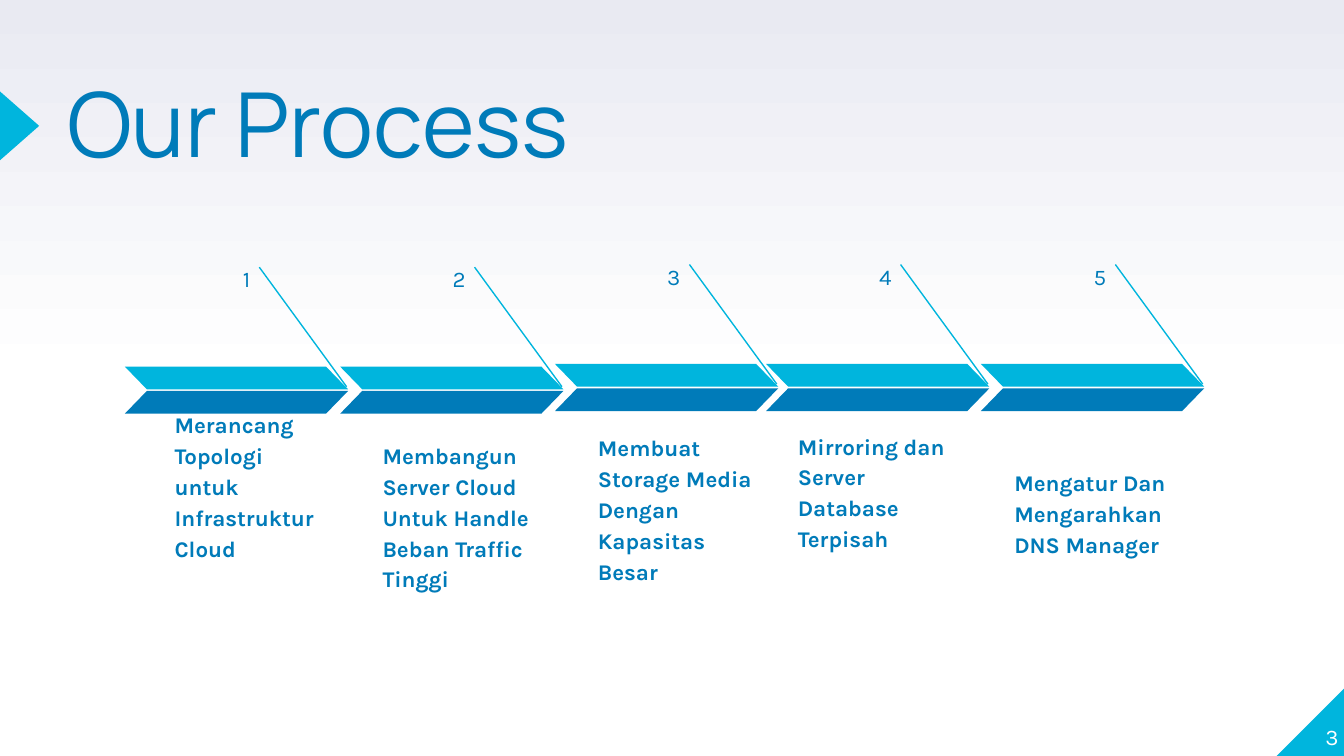
"""Build the five-step "Our Process" slide."""
from copy import deepcopy
from dataclasses import dataclass

from lxml.etree import SubElement
from pptx import Presentation
from pptx.dml.color import RGBColor
from pptx.enum.shapes import MSO_CONNECTOR as Line, MSO_SHAPE as Shape
from pptx.enum.text import MSO_ANCHOR as Anchor, MSO_AUTO_SIZE as AutoSize, PP_ALIGN as Align
from pptx.oxml.ns import qn
from pptx.util import Cm, Pt


@dataclass(frozen=True)
class Theme:
    cyan: RGBColor = RGBColor(0x00, 0xB5, 0xDD)
    blue: RGBColor = RGBColor(0x00, 0x7B, 0xB9)
    white: RGBColor = RGBColor(0xFF, 0xFF, 0xFF)
    mist: RGBColor = RGBColor(0xE9, 0xEA, 0xF2)
    title_font: str = "Manrope"
    body_font: str = "Karla"
    title_size: Pt = Pt(48)
    body_size: Pt = Pt(12)
    hairline: Pt = Pt(0.75)


@dataclass(frozen=True)
class Step:
    left: float
    top: float
    text: str
    text_left: float
    text_top: float
    text_height: float


STEPS = [
    Step(2.36, 6.93, "Merancang Topologi untuk Infrastruktur Cloud", 3.05, 9.5, 1.37),
    Step(6.43, 6.93, "Membangun Server Cloud Untuk Handle Beban Traffic Tinggi", 6.98, 9.42, 2.03),
    Step(10.49, 6.88, "Membuat Storage Media Dengan Kapasitas Besar", 11.05, 9.27, 2.03),
    Step(14.48, 6.88, "Mirroring dan Server Database Terpisah", 14.83, 8.15, 2.54),
    Step(18.54, 6.88, "Mengatur Dan Mengarahkan DNS Manager", 18.92, 8.26, 2.54),
]


class SlideBuilder:
    def __init__(self, page, theme):
        self.page = page
        self.theme = theme
        self.canvas = page.shapes

    def background(self):
        fill = self.page.background.fill
        fill.gradient()
        fill.gradient_angle = 90
        stop_list = self.page.element.xpath(".//a:gsLst")[0]
        stop_list.insert(0, deepcopy(stop_list[0]))
        colors = (self.theme.white, self.theme.white, self.theme.mist)
        for stop, position, color in zip(fill.gradient_stops, (0, 0.5, 1), colors):
            stop.position = position
            stop.color.rgb = color

    def fill_text(self, box, text, font, size, color, *, bold=False, align=Align.LEFT,
                  anchor=Anchor.TOP, inset=0.0, spacing=1.0, after=0):
        frame = box.text_frame
        frame.word_wrap = True
        frame.auto_size = AutoSize.NONE
        frame.vertical_anchor = anchor
        frame.margin_left = frame.margin_right = Cm(inset)
        frame.margin_top = frame.margin_bottom = Cm(inset)
        para = frame.paragraphs[0]
        para.alignment = align
        para.line_spacing = spacing
        para.space_before = Pt(0)
        para.space_after = Pt(after)
        span = para.add_run()
        span.text = text
        span.font.name = font
        span.font.size = size
        span.font.bold = bold
        span.font.color.rgb = color

    def title(self, text, left, top, width, height):
        box = self.page.shapes.title
        box.left, box.top, box.width, box.height = map(Cm, (left, top, width, height))
        self.fill_text(box, text, self.theme.title_font, self.theme.title_size,
                       self.theme.blue, spacing=0.8)

    def text(self, text, left, top, width, height, color, **style):
        box = self.canvas.add_textbox(*map(Cm, (left, top, width, height)))
        self.fill_text(box, text, self.theme.body_font, self.theme.body_size, color, **style)

    def shape(self, kind, left, top, width, height, color, flip=False, turn=0, slant=None):
        shape = self.canvas.add_shape(kind, *map(Cm, (left, top, width, height)))
        shape.shadow.inherit = False
        shape.fill.solid()
        shape.fill.fore_color.rgb = color
        shape.line.fill.background()
        shape.rotation = turn
        if flip:
            shape.element.spPr.get_or_add_xfrm().set("flipH", "1")
        if slant is not None:
            shape.adjustments[0] = slant

    def line(self, start_x, start_y, end_x, end_y):
        line = self.canvas.add_connector(
            Line.STRAIGHT, *map(Cm, (start_x, start_y, end_x, end_y)))
        line.line.color.rgb = self.theme.cyan
        line.line.width = self.theme.hairline
        SubElement(line.element.spPr, qn("a:effectLst"))

    def step(self, number, step):
        theme = self.theme
        left, top = step.left, step.top
        self.canvas = self.page.shapes.add_group_shape().shapes
        self.text(str(number), left + 1.2, top - 2.24, 1.42, 0.74, theme.blue,
                  align=Align.RIGHT, inset=0.25, spacing=1.15, after=16)
        self.text(step.text, step.text_left, step.text_top, 3.45, step.text_height,
                  theme.blue, bold=True, anchor=Anchor.BOTTOM, inset=0.25, spacing=1.15)
        self.line(left + 2.54, top - 1.88, left + 4.19, top + 0.38)
        for drop, color, flip in ((0, theme.cyan, True), (0.46, theme.blue, False)):
            self.shape(Shape.PARALLELOGRAM, left, top + drop, 4.22, 0.43, color,
                       flip=flip, slant=0.97)
        self.canvas = self.page.shapes


def main():
    deck = Presentation()
    deck.slide_width, deck.slide_height = Cm(25.4), Cm(14.29)
    theme = Theme()
    builder = SlideBuilder(deck.slides.add_slide(deck.slide_layouts[5]), theme)
    builder.background()
    builder.shape(Shape.RIGHT_TRIANGLE, 24.13, 12.99, 1.3, 1.3, theme.cyan, flip=True)
    builder.shape(Shape.ISOSCELES_TRIANGLE, -0.28, 2.01, 1.3, 0.74, theme.cyan, turn=90)
    builder.title("Our Process", 1.27, 1.68, 15.67, 3)
    builder.text("3", 24.03, 12.88, 1.27, 1.3, theme.white,
                 align=Align.RIGHT, anchor=Anchor.BOTTOM)
    for number, step in enumerate(STEPS, start=1):
        builder.step(number, step)
    deck.save("out.pptx")


if __name__ == "__main__":
    main()
